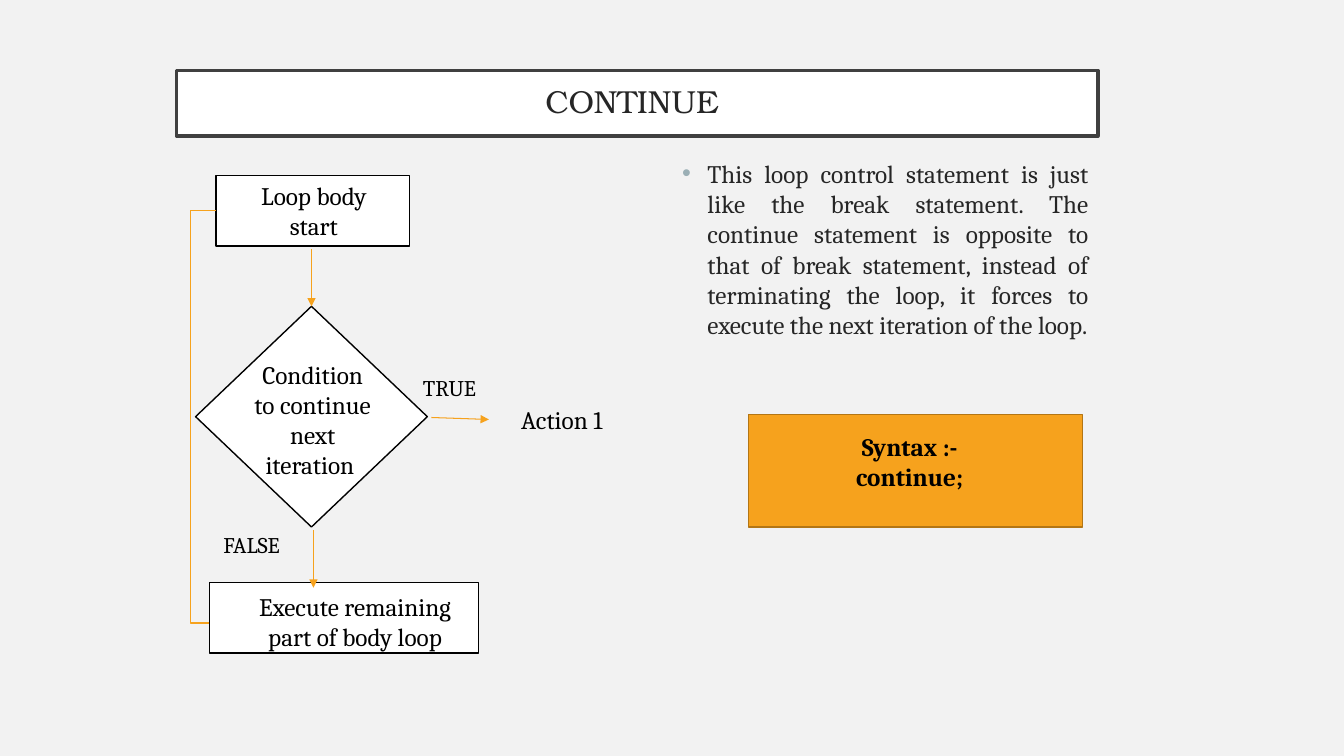
from lxml.etree import SubElement
from pptx import Presentation
from pptx.dml.color import RGBColor
from pptx.enum.shapes import MSO_CONNECTOR as LINK, MSO_SHAPE as SHAPE
from pptx.enum.text import MSO_ANCHOR as ANCHOR, PP_ALIGN as ALIGN
from pptx.oxml.ns import qn
from pptx.util import Cm, Pt

BLACK = RGBColor(0x00, 0x00, 0x00)
WHITE = RGBColor(0xFF, 0xFF, 0xFF)
PAPER = RGBColor(0xF2, 0xF2, 0xF2)
INK = RGBColor(0x26, 0x26, 0x26)
FRAME = RGBColor(0x40, 0x40, 0x40)
ORANGE = RGBColor(0xF6, 0xA2, 0x1D)
BROWN = RGBColor(0xB3, 0x76, 0x15)
BULLET = '9BAFB5'

TITLE = 'CONTINUE '
BODY = ('This loop control statement is just like the break statement. '
        'The continue statement is opposite to that of break statement, '
        'instead of terminating the loop, it forces to execute the next '
        'iteration of the loop.')

BOXES = {
    'title': (SHAPE.RECTANGLE, (4.45, 1.78, 23.22, 1.65), WHITE, FRAME, 2.5),
    'syntax': (SHAPE.RECTANGLE, (18.87, 10.44, 8.41, 2.84), ORANGE, BROWN, 1),
    'start': (SHAPE.RECTANGLE, (5.44, 4.42, 4.88, 1.78), WHITE, BLACK, 1),
    'condition': (SHAPE.DIAMOND, (4.93, 7.72, 5.84, 5.56), WHITE, BLACK, 1),
    'execute': (SHAPE.RECTANGLE, (5.28, 14.68, 6.78, 1.78), WHITE, BLACK, 1),
}

NODE = {'size': Pt(18), 'name': 'Cambria', 'bold': False}
BRANCH = {**NODE, 'size': Pt(16)}
STRONG = {**NODE, 'bold': True}
HEADING = {'size': Pt(22.7), 'name': 'TeX Gyre Bonum', 'bold': False}

LABELS = [
    ('Syntax :- continue;', (20.32, 10.74, 5.21, 1.02), ALIGN.CENTER, STRONG),
    ('Condition to continue next iteration ', (6.05, 8.92, 3.66, 3.33), ALIGN.CENTER, NODE),
    ('Action 1', (12.32, 10.06, 3.68, 1.02), ALIGN.CENTER, NODE),
    ('TRUE', (10.41, 9.3, 4.19, 0.94), ALIGN.LEFT, BRANCH),
    ('FALSE', (5.38, 13.26, 2.84, 0.94), ALIGN.LEFT, BRANCH),
    ('Loop body start', (5.84, 4.42, 4.14, 1.8), ALIGN.CENTER, NODE),
    ('Execute remaining part of body loop', (5.84, 14.78, 6.22, 1.8), ALIGN.CENTER, NODE),
]

TRUE_ARROW = (10.87, 10.52, 12.32, 10.57)
START_ARROW = (7.85, 6.27, 7.85, 7.72)
FALSE_ARROW = (7.9, 13.36, 7.9, 14.81)
LOOP_BACK = (5.44, 5.31, 5.84, 15.7)
LOOP_BEND = -159100


def add_box(s, name):
    kind, at, fill, line, width = BOXES[name]
    sp = s.shapes.add_shape(kind, *map(Cm, at))
    sp.shadow.inherit = False
    sp.fill.solid()
    sp.fill.fore_color.rgb = fill
    sp.line.color.rgb = line
    sp.line.width = Pt(width)
    return sp


def write(tf, text, align, style, color=BLACK):
    tf.word_wrap = True
    p = tf.paragraphs[0]
    p.alignment = align
    r = p.add_run()
    r.text = text
    for key, value in style.items():
        setattr(r.font, key, value)
    r.font.color.rgb = color
    return p


def add_label(s, text, at, align, style, color=BLACK):
    sp = s.shapes.add_textbox(*map(Cm, at))
    return write(sp.text_frame, text, align, style, color)


def add_arrow(s, ends, kind=LINK.STRAIGHT):
    cx = s.shapes.add_connector(kind, *map(Cm, ends))
    cx.line.color.rgb = ORANGE
    cx.line.width = Pt(0.75)
    sp_pr = cx._element.spPr
    SubElement(sp_pr.find(qn('a:ln')), qn('a:tailEnd'), type='triangle')
    SubElement(sp_pr, qn('a:effectLst'))
    return cx


def add_bullet(p):
    p_pr = p._p.get_or_add_pPr()
    p_pr.set('marL', str(Cm(0.64)))
    p_pr.set('indent', str(-Cm(0.64)))
    color = SubElement(p_pr, qn('a:buClr'))
    SubElement(color, qn('a:srgbClr'), val=BULLET)
    SubElement(p_pr, qn('a:buFont'), typeface='Arial')
    SubElement(p_pr, qn('a:buChar'), char='•')


def main():
    prs = Presentation()
    prs.slide_width, prs.slide_height = Cm(33.87), Cm(19.05)
    s = prs.slides.add_slide(prs.slide_layouts[6])
    s.background.fill.solid()
    s.background.fill.fore_color.rgb = PAPER

    tf = add_box(s, 'title').text_frame
    tf.vertical_anchor = ANCHOR.MIDDLE
    for side in ('left', 'top', 'right', 'bottom'):
        setattr(tf, f'margin_{side}', Cm(0.51))
    write(tf, TITLE, ALIGN.CENTER, HEADING, INK).line_spacing = 0.9

    add_bullet(add_label(s, BODY, (16.94, 3.86, 10.74, 12.75), ALIGN.JUSTIFY, NODE, INK))

    add_box(s, 'syntax')
    add_box(s, 'start')
    condition = add_box(s, 'condition')

    loop = add_arrow(s, LOOP_BACK, LINK.ELBOW)
    guides = loop._element.spPr.find(qn('a:prstGeom')).get_or_add_avLst()
    SubElement(guides, qn('a:gd'), name='adj1', fmla=f'val {LOOP_BEND}')

    add_box(s, 'execute')
    for label in LABELS:
        add_label(s, *label)

    add_arrow(s, TRUE_ARROW)
    add_arrow(s, START_ARROW).end_connect(condition, 0)
    add_arrow(s, FALSE_ARROW)

    prs.save("out.pptx")


if __name__ == '__main__':
    main()
